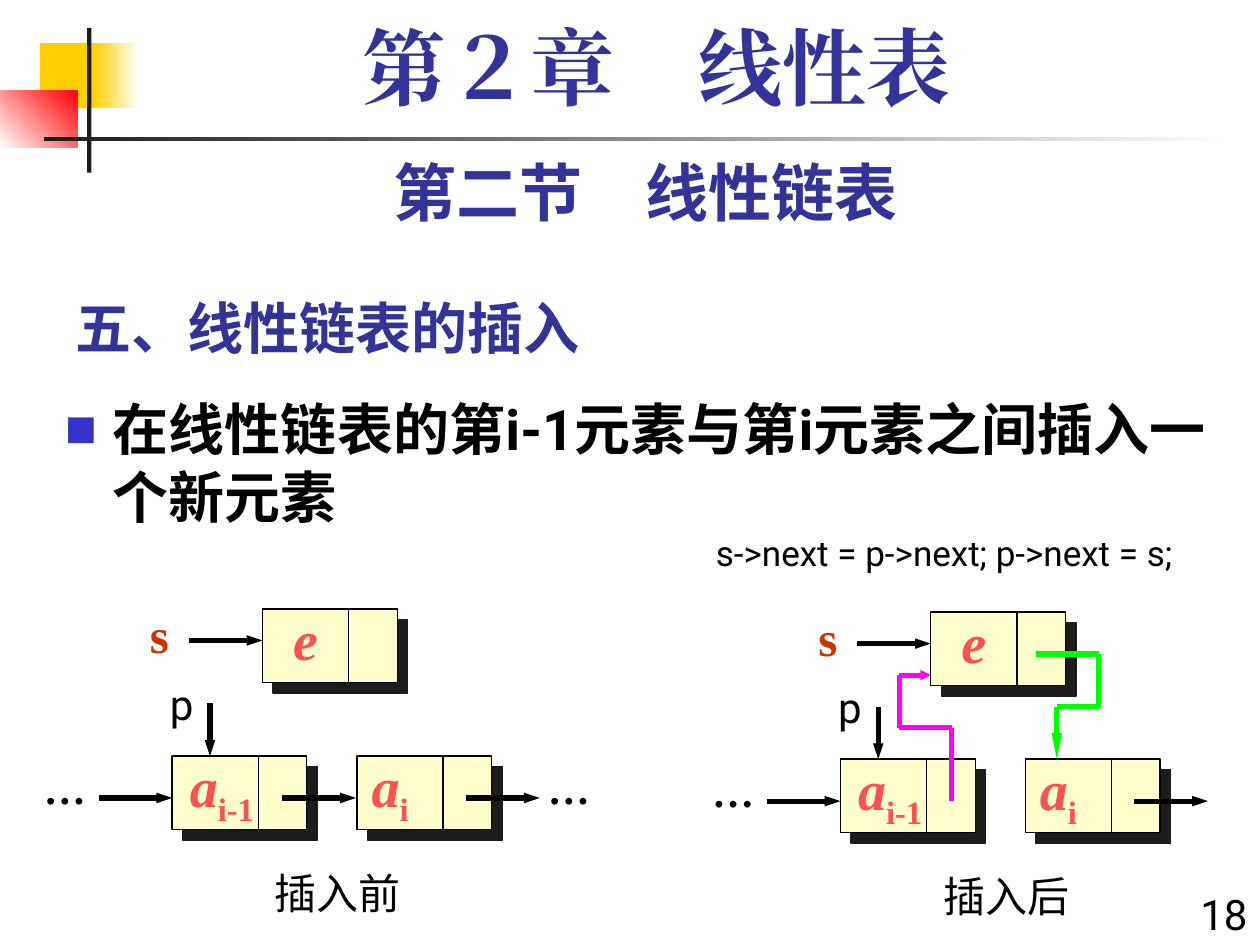
from dataclasses import dataclass

from lxml import etree
from pptx import Presentation
from pptx.dml.color import RGBColor
from pptx.enum.shapes import MSO_CONNECTOR, MSO_SHAPE
from pptx.enum.text import MSO_ANCHOR, MSO_AUTO_SIZE, PP_ALIGN
from pptx.oxml.ns import qn
from pptx.util import Emu, Inches, Pt

RECT = MSO_SHAPE.RECTANGLE
LINE = MSO_CONNECTOR.STRAIGHT
LEFT, MID, RIGHT = PP_ALIGN.LEFT, PP_ALIGN.CENTER, PP_ALIGN.RIGHT
TOP, BASE = MSO_ANCHOR.TOP, MSO_ANCHOR.BOTTOM
NO_FIT = MSO_AUTO_SIZE.NONE

SANS, SERIF, HAN = "Roboto", "Times New Roman", "Noto Sans CJK SC"
BLACK, WHITE, INK, NAVY = "000000", "FFFFFF", "1C1C1C", "333399"
GOLD, RED, CREAM, CORAL = "FFCF01", "FF0000", "FFFFCC", "FF5050"
RUST, PINK, GREEN, BLUE = "CC3300", "FF00FF", "00FF00", "3333CC"

# The grid has 12 columns and 12 rows to the inch
UNIT = Inches(1) / 12
NODE_W, NODE_H, SPLIT = 12.83, 7, 8.2
ARROW = 7

deck = Presentation()
deck.slide_width, deck.slide_height = Inches(10), Inches(7.5)
slide = deck.slides.add_slide(deck.slide_layouts[1])
shapes = slide.shapes


@dataclass
class Style:
    size: float
    font: str = SANS
    color: str = BLACK
    bold: bool = False
    slant: bool = False
    align: PP_ALIGN = LEFT


@dataclass
class Node:
    x: float
    y: float
    name: str
    sub: str = ""


@dataclass
class Panel:
    dx: float
    dy: float
    title: str
    links: list  # left ends of the level arrows in the lower row
    dots: list   # left edges of the ellipses


PLAIN = Style(24)
DOTS = Style(24, SERIF, bold=True)
MARK = Style(28, SERIF, RUST, True)
ITEM = Style(32, SERIF, CORAL, True, True)
NODES = [Node(16.4, 72, "a", "i-1"), Node(34, 72, "a", "i"), Node(25, 58, "e")]
PANELS = [
    Panel(0, 0, "插入前", [9.4, 26.9, 44.4], [3, 51]),
    Panel(63.65, 0.3, "插入后", [9.4, 44.4], [3]),
]


def grid(*cells: float) -> list[Emu]:
    return [Emu(round(c * UNIT)) for c in cells]


def rgb(code: str) -> RGBColor:
    return RGBColor.from_string(code)


def child(node, tag: str, **attrs):
    return etree.SubElement(node, qn(tag), attrs)


def write(shape, text: str, style: Style, sub: str = "",
          anchor: MSO_ANCHOR = TOP, wrap: bool = True) -> None:
    frame = shape.text_frame
    frame.text = text
    frame.word_wrap, frame.auto_size = wrap, NO_FIT
    frame.vertical_anchor = anchor
    para = frame.paragraphs[0]
    para.alignment, para.space_before = style.align, Pt(0)
    if sub:
        para.add_run().text = sub
    for i, run in enumerate(para.runs):
        font = run.font
        font.size, font.name = Pt(style.size), style.font
        font.bold, font.italic = style.bold, style.slant and i == 0
        font.color.rgb = rgb(style.color)
        props = font._element
        props.set("lang", "zh-CN")
        child(props, "a:ea", typeface=style.font)
        if i:
            props.set("baseline", "-25000")


def label(x: float, y: float, w: float, h: float, text: str, style: Style,
          sub: str = "", wrap: bool = True):
    box = shapes.add_textbox(*grid(x, y, w, h))
    write(box, text, style, sub, wrap=wrap)
    return box


def block(x: float, y: float, w: float, h: float, fill: str,
          end: str = "", angle: float = 0):
    box = shapes.add_shape(RECT, *grid(x, y, w, h))
    box.shadow.inherit = False
    box.line.fill.background()
    if end:
        box.fill.gradient()
        box.fill.gradient_angle = angle
        for stop, code in zip(box.fill.gradient_stops, (fill, end)):
            stop.color.rgb = rgb(code)
            stop.position = 0 if code == fill else 1
    else:
        box.fill.solid()
        box.fill.fore_color.rgb = rgb(fill)
    return box


def stroke(x1: float, y1: float, x2: float, y2: float, color: str = BLACK,
           width: float = 3, head: str = "") -> None:
    line = shapes.add_connector(LINE, *grid(x1, y1, x2, y2))
    line.line.color.rgb, line.line.width = rgb(color), Pt(width)
    if head:
        child(line.line._get_or_add_ln(), "a:tailEnd",
              type="triangle", w="sm", len=head)
    child(line._element.spPr, "a:effectLst")


def route(points: list, color: str, head: str, dx: float, dy: float) -> None:
    last = len(points) - 2
    for i, ((x1, y1), (x2, y2)) in enumerate(zip(points, points[1:])):
        stroke(x1 + dx, y1 + dy, x2 + dx, y2 + dy, color,
               head=head if i == last else "")


def draw_node(node: Node, dx: float, dy: float) -> None:
    x, y = node.x + dx, node.y + dy
    box = block(x, y, NODE_W, NODE_H, CREAM)
    box.line.color.rgb, box.line.width = rgb(BLACK), Pt(0.75)
    shade = child(box._element.spPr.find(qn("a:effectLst")), "a:outerShdw",
                  dist=str(Pt(8.5)), dir="2700000", algn="ctr",
                  rotWithShape="0")
    child(shade, "a:srgbClr", val=INK)
    stroke(x + SPLIT, y, x + SPLIT, y + NODE_H, width=0.75)
    inset = 0.5 if node.sub == "i-1" else 0.2
    style = ITEM if node.sub else Style(32, SERIF, CORAL, True, True, MID)
    label(x + inset, y - 1, 7.8, 8, node.name, style, node.sub,
          wrap=not node.sub)


def draw_panel(panel: Panel) -> None:
    dx, dy = panel.dx, panel.dy
    for node in NODES:
        draw_node(node, dx, dy)
    for x, y in [(x, 76) for x in panel.links] + [(18, 61)]:
        stroke(x + dx, y + dy, x + ARROW + dx, y + dy, head="med")
    stroke(20 + dx, 67 + dy, 20 + dx, 72 + dy, head="med")
    for x in panel.dots:
        label(x + dx, 72 + dy, 9, 6, "…", DOTS)
    label(13.1 + dx, 57 + dy, 4.2, 6.8, "s", MARK, wrap=False)
    label(15 + dx, 64 + dy, 9, 6, "p", PLAIN)
    label(25 + dx, 82 + dy, 17, 6, panel.title, PLAIN)


# Corner blocks and rules
block(3.8, 4.1, 5.8, 6.2, GOLD)
block(8.9, 4.1, 4.3, 6.2, GOLD, WHITE)
block(0, 8.6, 7.4, 5.5, WHITE, RED, 45)
block(8.3, 2.65, 0.4, 13.8, INK)
block(4.2, 13, 113.4, 0.4, INK, WHITE)

# Headings
chapter = label(8, 2, 109, 10, "第２章　线性表",
                Style(48, SERIF, NAVY, True, align=MID))
chapter.text_frame.paragraphs[0].line_spacing = 0.9
label(6, 14, 111, 8.4, "第二节　线性链表",
      Style(36, SANS, NAVY, True, align=MID))
title = shapes.title
title.left, title.top, title.width, title.height = grid(6, 26, 75, 9)
write(title, "五、线性链表的插入", Style(32, HAN, NAVY, True), anchor=BASE)

# Bulleted statement
body = slide.placeholders[1]
body.left, body.top, body.width, body.height = grid(5, 37, 115, 19)
write(body, "在线性链表的第i-1元素与第i元素之间插入一个新元素",
      Style(32, bold=True))
props = body.text_frame.paragraphs[0]._p.get_or_add_pPr()
props.set("marL", str(Inches(0.38)))
props.set("indent", str(-Inches(0.38)))
child(child(props, "a:buClr"), "a:srgbClr", val=BLUE)
child(props, "a:buSzPct", val="60000")
child(props, "a:buFont", typeface=SANS)
child(props, "a:buChar", char="■")

# List before and after the insertion
for panel in PANELS:
    draw_panel(panel)
after = PANELS[1]
route([(27, 76), (27, 69), (22, 69), (22, 64), (25, 64)],
      PINK, "sm", after.dx, after.dy)
route([(35, 62), (41, 62), (41, 67), (37, 67), (37, 72)],
      GREEN, "lg", after.dx, after.dy)

# Code line and page number
label(67, 50, 53, 5.3, "s->next = p->next; p->next = s;", Style(20))
label(112, 84, 8, 6, "18", Style(24, align=RIGHT))

deck.save("out.pptx")
